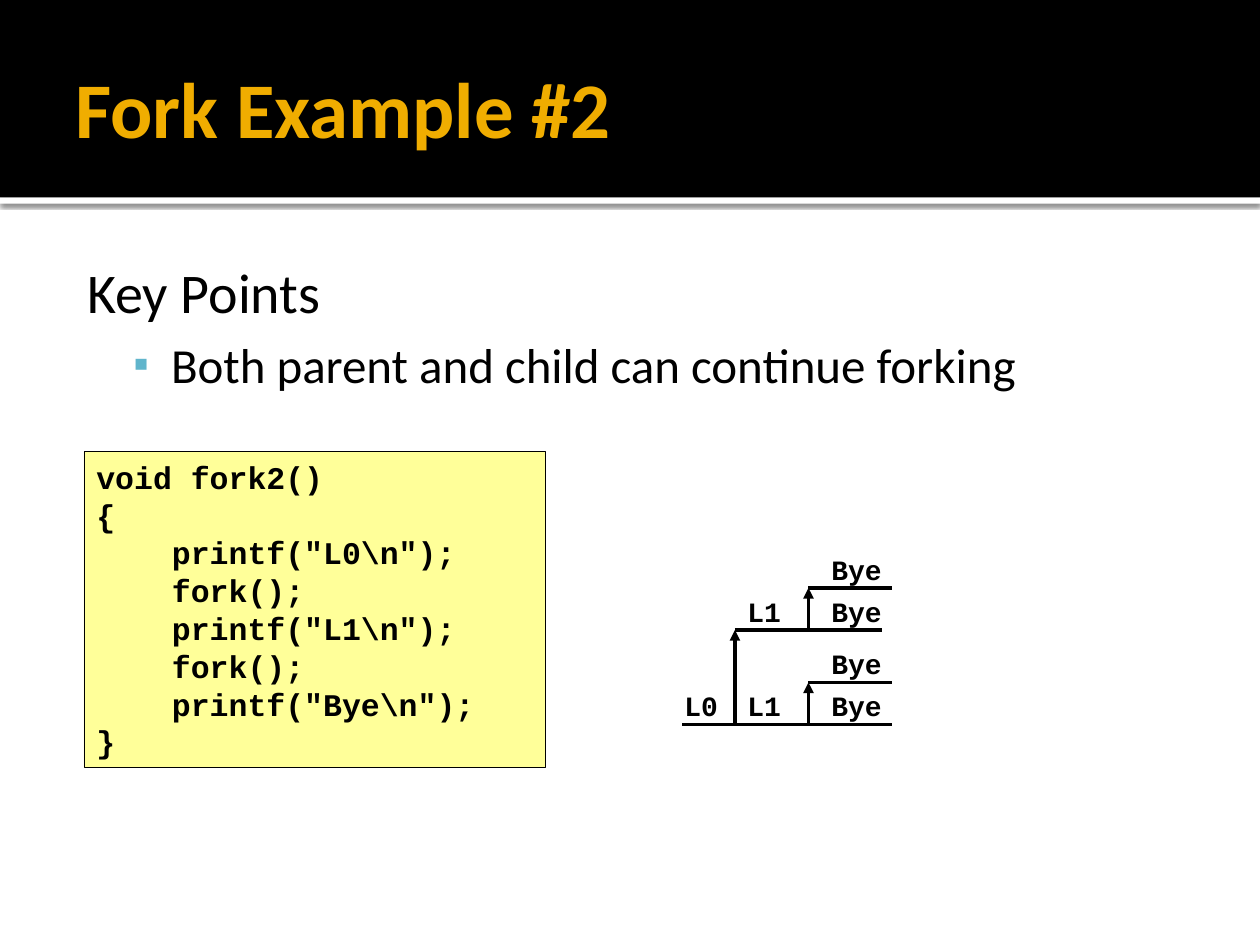
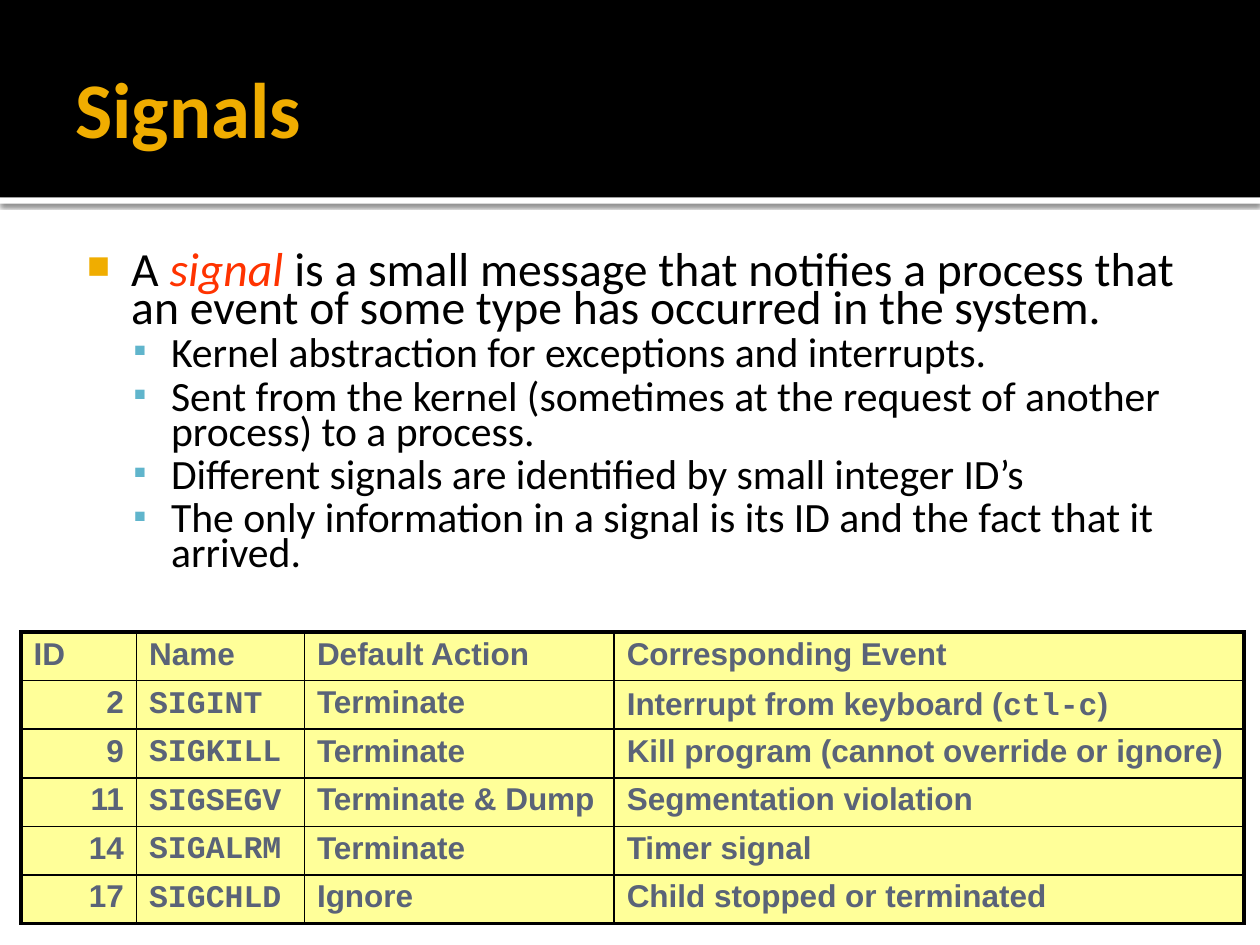
"""Build two lecture slides on process forking and signals."""
from dataclasses import dataclass
from typing import Optional

import lxml.etree
import pptx
import pptx.dml.color
import pptx.enum.shapes
import pptx.enum.text
import pptx.oxml.ns
import pptx.presentation
import pptx.shapes.base
import pptx.slide
import pptx.table
import pptx.text.text
import pptx.util

EMU_PER_PX = 7620
SLIDE_W, SLIDE_H = 1200, 900
BAND_H = 188
COLORS = {
    "black": "000000",
    "white": "FFFFFF",
    "gold": "F0AD00",
    "sky": "60B5CC",
    "red": "FF3300",
    "slate": "5A6378",
    "note": "FFFF99",
}
SANS, TABLE_SANS, MONO = "Calibri", "Arial", "Courier New"


@dataclass(frozen=True)
class Box:
    """A rectangle in px."""
    left: int
    top: int
    width: int
    height: int


@dataclass(frozen=True)
class Segment:
    """A straight line in px, with an arrowhead at its end for a fork."""
    x1: int
    y1: int
    x2: int
    y2: int
    is_fork: bool = False


@dataclass(frozen=True)
class Label:
    """A line of output in the process graph."""
    text: str
    left: int
    top: int
    width: int = 56


@dataclass(frozen=True)
class Level:
    """An outline level: hanging indent and bullet."""
    margin: int
    indent: int
    bullet: Optional[str] = None
    color: str = "black"
    percent: int = 100
    before: float = 0


@dataclass(frozen=True)
class Point:
    """An outline paragraph, with emphasis between asterisks."""
    text: str
    level: Level
    size: float
    spacing: Optional[float] = None


HEADING = Level(58, -42)
TOPIC = Level(58, -42, "■", "gold", 80)
DETAIL = Level(96, -36, "▪", "sky", 90, 0.2)

FORK_POINTS = [
    Point("Key Points", HEADING, 32),
    Point("Both parent and child can continue forking", DETAIL, 28),
]
FORK_CODE = r'''void fork2()
{
    printf("L0\n");
    fork();
    printf("L1\n");
    fork();
    printf("Bye\n");
}'''
PROCESS_GRAPH = [
    Segment(650, 690, 700, 690),
    Segment(700, 690, 770, 690),
    Segment(770, 690, 850, 690),
    Segment(700, 600, 770, 600),
    Segment(770, 600, 840, 600),
    Segment(770, 560, 850, 560),
    Segment(770, 650, 850, 650),
    Segment(700, 690, 700, 600, True),
    Segment(770, 690, 770, 650, True),
    Segment(770, 600, 770, 560, True),
]
OUTPUTS = [Label("L0", 640, 650)]
OUTPUTS += [Label("L1", 700, top) for top in (650, 560)]
OUTPUTS += [Label("Bye", 780, top, 72) for top in (650, 610, 560, 520)]

SIGNAL_POINTS = [
    Point("A *signal* is a small message that notifies a process that an event "
          "of some type has occurred in the system.", TOPIC, 27.2, 0.65),
] + [Point(detail, DETAIL, 23.8, 0.7) for detail in (
    "Kernel abstraction for exceptions and interrupts.",
    "Sent from the kernel (sometimes at the request of another process) to a process.",
    "Different signals are identified by small integer ID’s",
    "The only information in a signal is its ID and the fact that it arrived.",
)]
SIGNAL_COLUMNS = (110, 160, 295, 600)
SIGNALS = [
    ("ID", "Name", "Default Action", "Corresponding Event"),
    ("2", "`SIGINT`", "Terminate", "Interrupt from keyboard (`ctl-c`)"),
    ("9", "`SIGKILL`", "Terminate", "Kill program (cannot override or ignore)"),
    ("11", "`SIGSEGV`", "Terminate & Dump", "Segmentation violation"),
    ("14", "`SIGALRM`", "Terminate", "Timer signal"),
    ("17", "`SIGCHLD`", "Ignore", "Child stopped or terminated"),
]


def px(length: int) -> pptx.util.Emu:
    """Turn px into EMU."""
    return pptx.util.Emu(length * EMU_PER_PX)


def rgb(name: str) -> pptx.dml.color.RGBColor:
    """Look up a colour by name."""
    return pptx.dml.color.RGBColor.from_string(COLORS[name])


def add_xml(parent, tag: str, **attributes):
    """Append a DrawingML element."""
    return lxml.etree.SubElement(parent, pptx.oxml.ns.qn(f"a:{tag}"),
                                 {key: str(value) for key, value in attributes.items()})


def place(box: Box) -> tuple:
    """Give the EMU position and size of a box."""
    return px(box.left), px(box.top), px(box.width), px(box.height)


def style(font: pptx.text.text.Font, name: str, size: float, color: str = "black",
          bold: bool = False) -> None:
    """Set the main properties of a font."""
    font.name, font.size, font.bold = name, pptx.util.Pt(size), bold
    font.color.rgb = rgb(color)


def add_runs(paragraph: pptx.text.text._Paragraph, text: str, mark: str) -> list:
    """Add text split at a mark and return the runs between marks."""
    marked = []
    for index, part in enumerate(text.split(mark)):
        if part:
            run = paragraph.add_run()
            run.text = part
            if index % 2:
                marked.append(run)
    return marked


def add_rect(slide: pptx.slide.Slide, box: Box, fill: str) -> pptx.shapes.base.BaseShape:
    """Draw a plain filled rectangle."""
    rect = slide.shapes.add_shape(pptx.enum.shapes.MSO_SHAPE.RECTANGLE, *place(box))
    rect.shadow.inherit = False
    rect.fill.solid()
    rect.fill.fore_color.rgb = rgb(fill)
    rect.line.fill.background()
    return rect


def add_text(slide: pptx.slide.Slide, box: Box) -> pptx.text.text.TextFrame:
    """Add an empty wrapping text box."""
    frame = slide.shapes.add_textbox(*place(box)).text_frame
    frame.word_wrap = True
    return frame


def add_titled_slide(deck: pptx.presentation.Presentation, title: str) -> pptx.slide.Slide:
    """Add a slide with the black title band and its shaded white edge."""
    slide = deck.slides.add_slide(deck.slide_layouts[6])
    edge = add_rect(slide, Box(0, BAND_H, SLIDE_W, 6), "white")
    effects = edge._element.spPr.find(pptx.oxml.ns.qn("a:effectLst"))
    shade = add_xml(effects, "outerShdw", blurRad=31750, dist=10160, dir=5400000,
                    algn="tl", rotWithShape=0)
    add_xml(add_xml(shade, "srgbClr", val=COLORS["black"]), "alpha", val=60000)
    add_rect(slide, Box(0, 0, SLIDE_W, BAND_H), "black")
    frame = add_text(slide, Box(60, 20, 1080, 164))
    frame.margin_right = px(6)
    frame.vertical_anchor = pptx.enum.text.MSO_ANCHOR.MIDDLE
    frame.text = title
    style(frame.paragraphs[0].font, SANS, 45, "gold", True)
    return slide


def add_outline(slide: pptx.slide.Slide, height: int, points: list[Point]) -> None:
    """Write the outline under the title band."""
    frame = add_text(slide, Box(60, 233, 1080, height))
    frame.margin_left, frame.margin_top = px(7), px(12)
    for index, point in enumerate(points):
        paragraph = frame.add_paragraph() if index else frame.paragraphs[0]
        level = point.level
        properties = paragraph._p.get_or_add_pPr()
        properties.set("marL", str(px(level.margin)))
        properties.set("indent", str(px(level.indent)))
        if level.bullet:
            add_xml(add_xml(properties, "buClr"), "srgbClr", val=COLORS[level.color])
            add_xml(properties, "buSzPct", val=level.percent * 1000)
            add_xml(properties, "buFont", typeface=TABLE_SANS)
            add_xml(properties, "buChar", char=level.bullet)
        else:
            add_xml(properties, "buNone")
        if point.spacing:
            paragraph.line_spacing = point.spacing
        if level.before:
            paragraph.space_before = pptx.util.Pt(level.before * point.size)
        style(paragraph.font, SANS, point.size)
        for term in add_runs(paragraph, point.text, "*"):
            term.font.italic = True
            term.font.color.rgb = rgb("red")


def add_code(slide: pptx.slide.Slide, box: Box, code: str) -> None:
    """Draw a code listing on a yellow note."""
    note = add_rect(slide, box, "note")
    note.line.color.rgb = rgb("black")
    note.line.width = pptx.util.Pt(0.25)
    frame = note.text_frame
    frame.word_wrap = True
    frame.vertical_anchor = pptx.enum.text.MSO_ANCHOR.TOP
    frame.text = code
    for paragraph in frame.paragraphs:
        paragraph.alignment = pptx.enum.text.PP_ALIGN.LEFT
        style(paragraph.font, MONO, 18, bold=True)


def add_segment(slide: pptx.slide.Slide, segment: Segment) -> None:
    """Draw a process line or a fork arrow."""
    line = slide.shapes.add_connector(
        pptx.enum.shapes.MSO_CONNECTOR.STRAIGHT,
        px(segment.x1), px(segment.y1), px(segment.x2), px(segment.y2))
    line.line.color.rgb = rgb("black")
    line.line.width = pptx.util.Pt(2)
    if segment.is_fork:
        add_xml(line.line._get_or_add_ln(), "tailEnd", type="triangle")
    add_xml(line._element.spPr, "effectLst")


def add_label(slide: pptx.slide.Slide, label: Label) -> None:
    """Write one output of the process graph."""
    frame = add_text(slide, Box(label.left, label.top, label.width, 44))
    frame.word_wrap = False
    frame.auto_size = pptx.enum.text.MSO_AUTO_SIZE.SHAPE_TO_FIT_TEXT
    frame.text = label.text
    style(frame.paragraphs[0].font, MONO, 16, bold=True)


def frame_cell(cell: pptx.table._Cell, outer: dict[str, bool]) -> None:
    """Border a cell, heavier on the table's outer sides, and fill it."""
    properties = cell._tc.get_or_add_tcPr()
    for side, is_outer in outer.items():
        border = add_xml(properties, f"ln{side}", w=pptx.util.Pt(2.25 if is_outer else 1))
        add_xml(add_xml(border, "solidFill"), "srgbClr", val=COLORS["black"])
    cell.fill.solid()
    cell.fill.fore_color.rgb = rgb("note")


def add_signal_table(slide: pptx.slide.Slide, left: int, top: int, row_height: int) -> None:
    """Draw the signal table, with monospaced text between backticks."""
    last_row, last_column = len(SIGNALS) - 1, len(SIGNAL_COLUMNS) - 1
    box = Box(left, top, sum(SIGNAL_COLUMNS), row_height * len(SIGNALS))
    table = slide.shapes.add_table(len(SIGNALS), len(SIGNAL_COLUMNS), *place(box)).table
    table.first_row = table.horz_banding = False
    for column, width in zip(table.columns, SIGNAL_COLUMNS):
        column.width = px(width)
    for r, signal in enumerate(SIGNALS):
        for c, text in enumerate(signal):
            cell = table.cell(r, c)
            frame_cell(cell, {"L": c == 0, "R": c == last_column,
                              "T": r == 0, "B": r == last_row})
            paragraph = cell.text_frame.paragraphs[0]
            paragraph.line_spacing = 0.95
            if r and c == 0:
                paragraph.alignment = pptx.enum.text.PP_ALIGN.RIGHT
            style(paragraph.font, TABLE_SANS, 18, "slate", True)
            for code in add_runs(paragraph, text, "`"):
                code.font.name = MONO


def main() -> None:
    """Build and save the deck."""
    deck = pptx.Presentation()
    deck.slide_width, deck.slide_height = px(SLIDE_W), px(SLIDE_H)

    fork = add_titled_slide(deck, "Fork Example #2")
    add_outline(fork, 607, FORK_POINTS)
    add_code(fork, Box(80, 430, 439, 301), FORK_CODE)
    for segment in PROCESS_GRAPH:
        add_segment(fork, segment)
    for label in OUTPUTS:
        add_label(fork, label)

    signals = add_titled_slide(deck, "Signals")
    add_outline(signals, 358, SIGNAL_POINTS)
    add_signal_table(signals, 20, 602, 42)

    deck.save("out.pptx")


if __name__ == "__main__":
    main()
